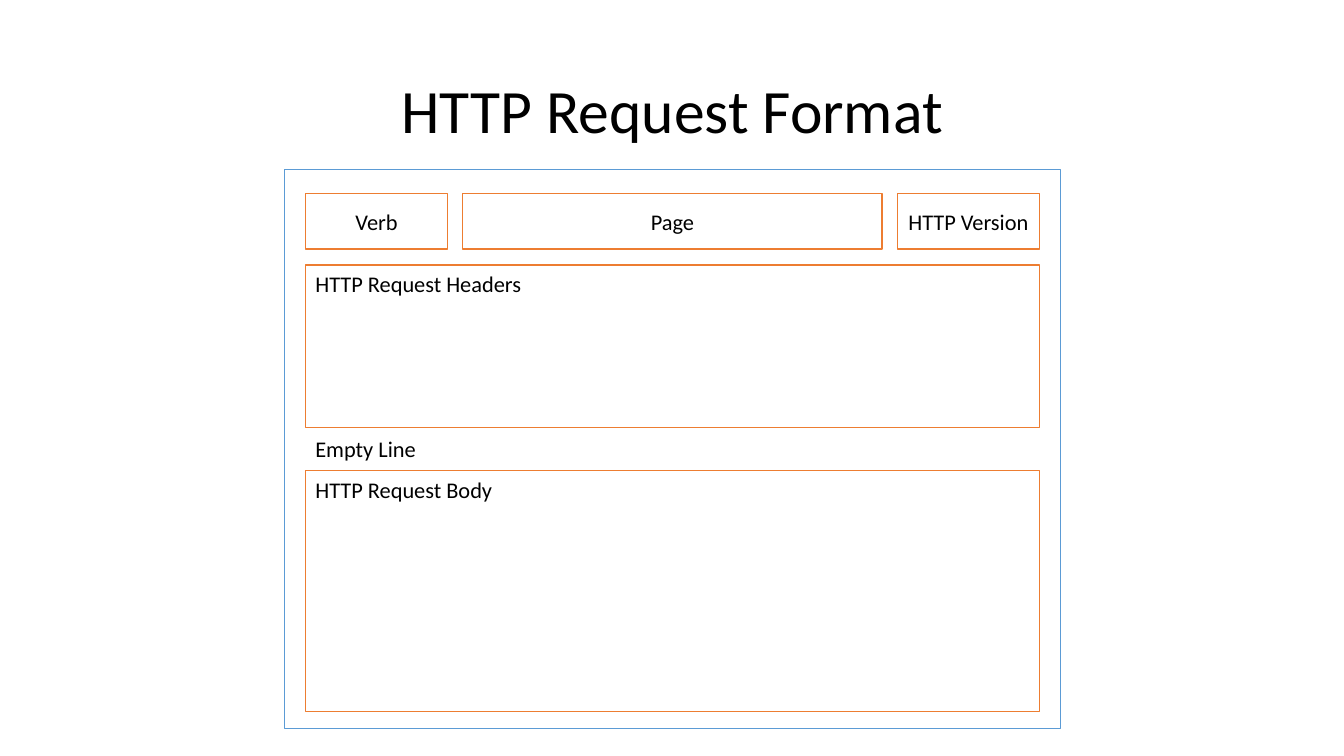
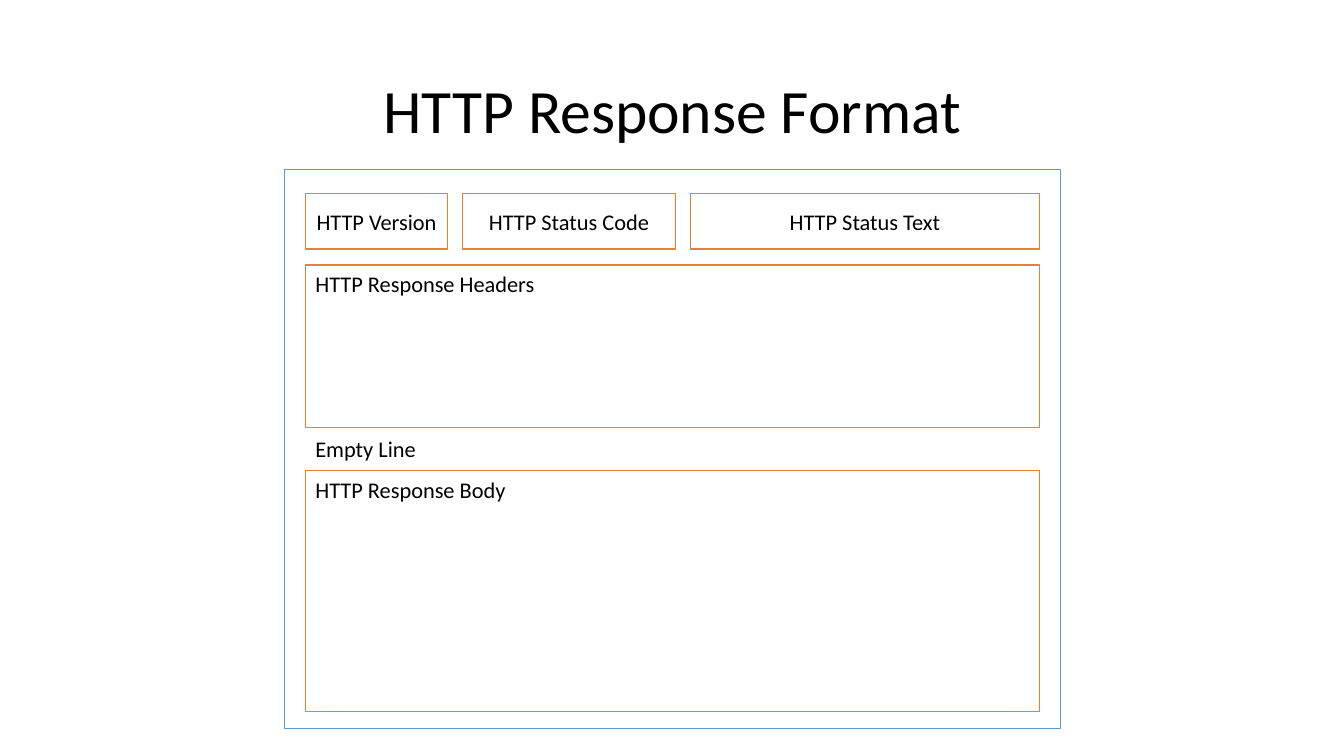
from pptx import Presentation
from pptx.dml.color import RGBColor
from pptx.enum.shapes import MSO_SHAPE
from pptx.enum.text import MSO_ANCHOR, MSO_AUTO_SIZE, PP_ALIGN
from pptx.util import Inches, Pt

RECTANGLE = MSO_SHAPE.RECTANGLE
TOP, MIDDLE = MSO_ANCHOR.TOP, MSO_ANCHOR.MIDDLE
LEFT, CENTER = PP_ALIGN.LEFT, PP_ALIGN.CENTER
FIT_SHAPE = MSO_AUTO_SIZE.SHAPE_TO_FIT_TEXT

SLIDE_W, SLIDE_H = 13.33, 7.5
TITLE_ONLY = 5
FONT, TITLE_SIZE, LABEL_SIZE = "Calibri", 44, 16
COLORS = {"paper": "FFFFFF", "text": "000000",
          "message": "5B9BD5", "part": "ED7D31"}

# Grid of the message: one content column, one row per part (top, height)
CONTENT_X, CONTENT_W, GAP = 3.03, 7.28, 0.15
ROWS = {"start line": (1.92, 0.55), "headers": (2.63, 1.61),
        "empty line": (4.27, 0.37), "body": (4.67, 2.39)}
TITLE_BOX = (0.92, 0.4, 11.5, 1.45)
MESSAGE_BOX = (2.82, 1.68, 7.7, 5.55)


class Deck:
    """Holds the shared style and the current slide."""

    def __init__(self):
        self.prs = Presentation()
        self.prs.slide_width = Inches(SLIDE_W)
        self.prs.slide_height = Inches(SLIDE_H)
        self.slide = None

    def add_slide(self, title):
        layout = self.prs.slide_layouts[TITLE_ONLY]
        self.slide = self.prs.slides.add_slide(layout)
        heading = self.slide.shapes.title
        heading.left, heading.top, heading.width, heading.height = map(Inches, TITLE_BOX)
        self.set_text(heading, title, TITLE_SIZE, CENTER, MIDDLE)
        heading.text_frame.paragraphs[0].line_spacing = 0.9

    def set_text(self, shape, text, size=LABEL_SIZE, align=LEFT, anchor=TOP):
        frame = shape.text_frame
        frame.text = text
        frame.word_wrap = True
        frame.vertical_anchor = anchor
        paragraph = frame.paragraphs[0]
        paragraph.alignment = align
        paragraph.font.name = FONT
        paragraph.font.size = Pt(size)
        paragraph.font.color.rgb = RGBColor.from_string(COLORS["text"])

    def box(self, bounds, outline):
        shape = self.slide.shapes.add_shape(RECTANGLE, *map(Inches, bounds))
        shape.shadow.inherit = False
        shape.fill.solid()
        shape.fill.fore_color.rgb = RGBColor.from_string(COLORS["paper"])
        shape.line.color.rgb = RGBColor.from_string(COLORS[outline])
        shape.line.width = Pt(1)
        return shape

    def start_line(self, fields):
        """Fields share the row's width, less the gaps, by percentage."""
        top, height = ROWS["start line"]
        available = CONTENT_W - GAP * (len(fields) - 1)
        left = CONTENT_X
        for label, percent in fields:
            width = available * percent / 100
            field = self.box((left, top, width, height), "part")
            self.set_text(field, label, align=CENTER, anchor=MIDDLE)
            left += width + GAP

    def section(self, row, label):
        top, height = ROWS[row]
        self.set_text(self.box((CONTENT_X, top, CONTENT_W, height), "part"), label)

    def caption(self, row, label, width):
        top, height = ROWS[row]
        bounds = map(Inches, (CONTENT_X, top, width, height))
        caption = self.slide.shapes.add_textbox(*bounds)
        self.set_text(caption, label)
        caption.text_frame.auto_size = FIT_SHAPE

    def message_format(self, kind, fields):
        self.add_slide(f"HTTP {kind} Format")
        self.box(MESSAGE_BOX, "message")
        self.start_line(fields)
        self.section("headers", f"HTTP {kind} Headers")
        self.section("body", f"HTTP {kind} Body")
        self.caption("empty line", "Empty Line", 2.04)


# Start-line fields of each message, with their share of the row
MESSAGES = {
    "Request": [("Verb", 20.2), ("Page", 59.6), ("HTTP Version", 20.2)],
    "Response": [("HTTP Version", 20.2), ("HTTP Status Code", 30.2),
                 ("HTTP Status Text", 49.6)],
}

deck = Deck()
for kind, fields in MESSAGES.items():
    deck.message_format(kind, fields)
deck.prs.save("out.pptx")
